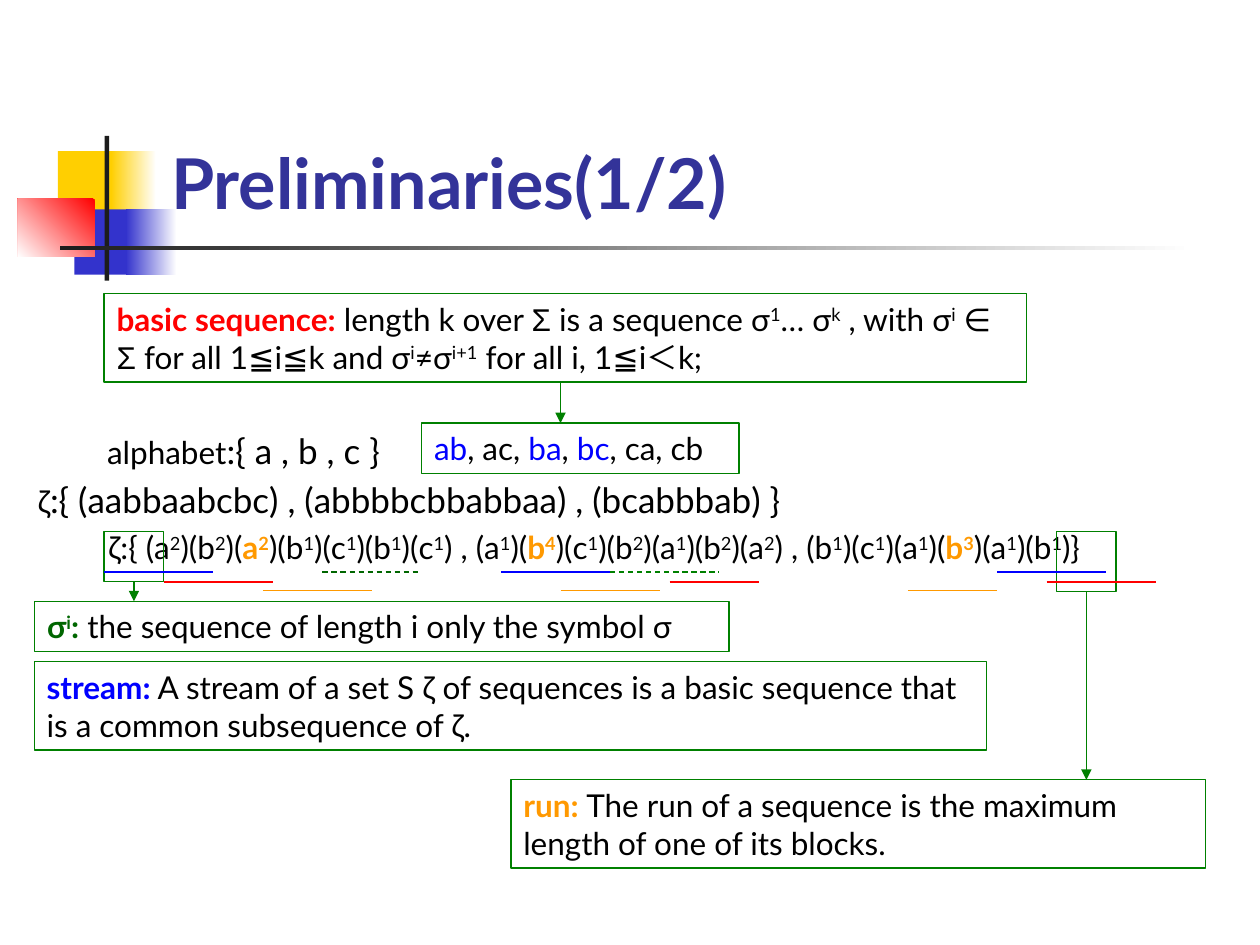
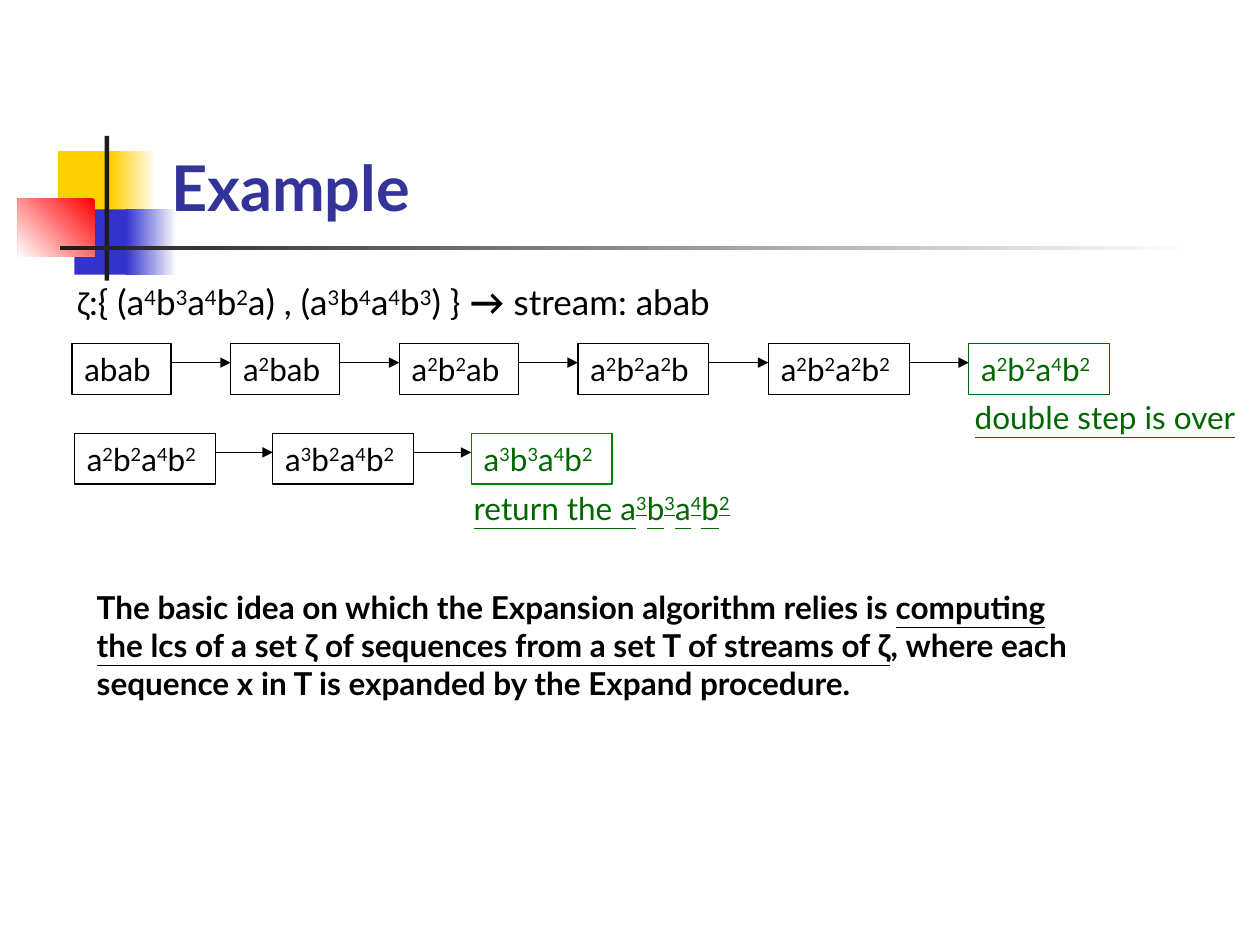
import pptx
import pptx.dml.color
import pptx.enum.dml
import pptx.enum.shapes
import pptx.enum.text
import pptx.oxml.ns
import pptx.util
from lxml import etree
from pptx.util import Cm

FONT = "Lato"
BLACK, NAVY, WHITE = "000000", "333399", "FFFFFF"
GREEN, DARK_GREEN = "008000", "006600"
BLUE, RED, ORANGE = "0000FF", "FF0000", "FF9900"
LINE_WIDTH = 0.75

# Boxes are (left, top, width, height) in centimetres.
# In texts, | switches superscript on and off; a (text, format) pair changes the run format.
TITLE_BOX = (3.2, 0.58, 21.64, 4.06)
# box, start colour, end colour (None for a solid fill), gradient angle
DECORATIONS = [
    ((1.17, 3.05, 1.22, 1.32), "FFCF01", None, 0),
    ((2.24, 3.05, 0.91, 1.32), WHITE, "FFCF01", 180),
    ((1.5, 4.22, 1.17, 1.32), "3333CC", None, 0),
    ((2.54, 4.22, 1.02, 1.32), WHITE, "3333CC", 180),
    ((0.36, 4.01, 1.55, 1.17), RED, WHITE, 225),
    ((2.11, 2.74, 0.09, 2.92), "1C1C1C", None, 0),
    ((1.22, 4.95, 22.86, 0.09), WHITE, "1C1C1C", 180),
]


def heading(text, color):
    return text, dict(color=color, bold=True)


SIGMA = ("Σ", dict(font="Arial"))
SMALL_ZETA = ("ζ", dict(size=18))

SEQUENCE_TEXTS = [
    ((0.51, 9.53, 18.6, 1.12),
     [SMALL_ZETA, ":{ (aabbaabcbc) , (abbbbcbbabbaa) , (bcabbbab) }"], 20),
    ((1.93, 10.52, 21.75, 1.02),
     ["ζ:{ (a|2|)(b|2|)(", heading("a|2|", ORANGE),
      ")(b|1|)(c|1|)(b|1|)(c|1|) , (a|1|)(", heading("b|4|", ORANGE),
      ")(c|1|)(b|2|)(a|1|)(b|2|)(a|2|) , (b|1|)(c|1|)(a|1|)(",
      heading("b|3|", ORANGE), ")(a|1|)(b|1|)}"], 18),
    ((1.91, 8.53, 18.6, 1.12),
     [("alphabet", dict(size=18)), ":{ a , b , c }"], 20),
]
DEFINITIONS = [
    ((2.1, 5.92, 18.6, 1.78),
     [heading("basic sequence:", RED), " length k over ", SIGMA,
      " is a sequence σ|1|… σ|k| , with σ|i| ∈ ", SIGMA,
      " for all 1≦i≦k and σ|i|≠σ|i+1| for all i, 1≦i＜k;"]),
    ((8.5, 8.53, 6.4, 1.02),
     [("ab", dict(color=BLUE)), ", ac, ", ("ba", dict(color=BLUE)), ", ",
      ("bc", dict(color=BLUE)), ", ca, cb"]),
    ((0.7, 12.12, 14, 1.02),
     [heading("σ|i|:", DARK_GREEN), " the sequence of length i only the symbol σ"]),
    ((0.69, 13.34, 19.2, 1.78),
     [heading("stream:", BLUE),
      " A stream of a set S ζ of sequences is a basic sequence that "
      "is a common subsequence of ζ."]),
    ((10.3, 15.72, 14, 1.78),
     [heading("run: ", ORANGE),
      "The run of a sequence is the maximum length of one of its blocks."]),
]
# marker box around a block, and the top of the definition its arrow reaches
MARKERS = [((2.1, 10.72, 1.2, 1.0), 12.12), ((21.3, 10.72, 1.2, 1.2), 15.72)]
# top, colour, dashed, (start, end) of each underline
UNDERLINES = [
    (11.53, BLUE, False, [(2.1, 4.3), (10.1, 12.3), (20.1, 22.3)]),
    (11.73, RED, False, [(3.3, 5.5), (13.5, 15.3), (21.1, 23.3)]),
    (11.91, ORANGE, False, [(5.3, 7.5), (11.3, 13.3), (18.3, 20.1)]),
    (11.53, DARK_GREEN, True, [(6.5, 8.5)]),
    (11.53, GREEN, True, [(12.3, 14.5)]),
]

# left, top, gap, colour of the last frame, (text, width) of each step
STEP_HEIGHT, ARROW_DROP = 1.02, 0.38
STEP_ROWS = [
    (1.45, 6.93, 1.2, DARK_GREEN,
     [("abab", 2), ("a|2|bab", 2.2), ("a|2|b|2|ab", 2.4), ("a|2|b|2|a|2|b", 2.64),
      ("a|2|b|2|a|2|b|2|", 2.84), ("a|2|b|2|a|4|b|2|", 2.84)]),
    (1.5, 8.74, 1.16, GREEN,
     [("a|2|b|2|a|4|b|2|", 2.84), ("a|3|b|2|a|4|b|2|", 2.84),
      ("a|3|b|3|a|4|b|2|", 2.84)]),
]
STREAM_BOX = (1.3, 5.54, 18.6, 1.12)
STREAM = [SMALL_ZETA, ":{ (a|4|b|3|a|4|b|2|a) , (a|3|b|4|a|4|b|3|) } ",
          ("→", dict(bold=True)), " stream: abab"]
STEP_NOTES = [
    ((19.4, 7.9, 6, 1.78), "double step is over"),
    ((9.3, 9.73, 6, 1.78), "return the a|3|b|3|a|4|b|2|"),
]
IDEA_BOX = (1.7, 11.73, 20.6, 3.3)
IDEA = ["The basic idea on which the Expansion algorithm relies is ",
        ("computing the lcs of a set ζ of sequences from a set T of streams of ζ",
         dict(underline=True)),
        ", where each sequence x in T is expanded by the Expand procedure."]


def rgb(color):
    return pptx.dml.color.RGBColor.from_string(color)


def lengths(values):
    return [Cm(value) for value in values]


def add_rectangle(slide, box, line=None):
    shape = slide.shapes.add_shape(
        pptx.enum.shapes.MSO_SHAPE.RECTANGLE, *lengths(box))
    shape.shadow.inherit = False
    shape.fill.background()
    if line:
        shape.line.color.rgb = rgb(line)
        shape.line.width = pptx.util.Pt(LINE_WIDTH)
    else:
        shape.line.fill.background()
    return shape


def add_run(paragraph, text, superscript, size, color, bold, underline, font):
    run = paragraph.add_run()
    run.text = text
    run.font.name = font
    run.font.size = pptx.util.Pt(size)
    run.font.bold = bold
    run.font.underline = underline
    run.font.color.rgb = rgb(color)
    if superscript:
        run._r.get_or_add_rPr().set("baseline", "30000")


def add_text(slide, box, parts, frame=None, anchor="TOP", **text_format):
    """Write parts in a text box, or in a rectangle when a frame colour is given."""
    base = dict(size=18, color=BLACK, bold=False, underline=False, font=FONT)
    base.update(text_format)
    if frame:
        shape = add_rectangle(slide, box, frame)
    else:
        shape = slide.shapes.add_textbox(*lengths(box))
    text_frame = shape.text_frame
    text_frame.word_wrap = True
    text_frame.vertical_anchor = getattr(pptx.enum.text.MSO_ANCHOR, anchor)
    paragraph = text_frame.paragraphs[0]
    paragraph.alignment = pptx.enum.text.PP_ALIGN.LEFT
    for part in parts:
        text, changes = (part, {}) if isinstance(part, str) else part
        for index, piece in enumerate(text.split("|")):
            if piece:
                add_run(paragraph, piece, index % 2 == 1, **{**base, **changes})
    return shape


def add_line(slide, start, end, color, dashed=False, arrow=False):
    connector = slide.shapes.add_connector(
        pptx.enum.shapes.MSO_CONNECTOR.STRAIGHT, *lengths(start + end))
    connector.line.color.rgb = rgb(color)
    connector.line.width = pptx.util.Pt(LINE_WIDTH)
    if dashed:
        connector.line.dash_style = pptx.enum.dml.MSO_LINE.DASH
    if arrow:
        etree.SubElement(connector.line._get_or_add_ln(),
                         pptx.oxml.ns.qn("a:tailEnd"), type="triangle")
    etree.SubElement(connector._element.spPr, pptx.oxml.ns.qn("a:effectLst"))
    return connector


def add_titled_slide(presentation, title, size):
    slide = presentation.slides.add_slide(presentation.slide_layouts[6])
    for box, start_color, end_color, angle in DECORATIONS:
        fill = add_rectangle(slide, box).fill
        if end_color:
            fill.gradient()
            fill.gradient_angle = angle
            for stop, color in zip(fill.gradient_stops, (start_color, end_color)):
                stop.color.rgb = rgb(color)
        else:
            fill.solid()
            fill.fore_color.rgb = rgb(start_color)
    add_text(slide, TITLE_BOX, [title], anchor="BOTTOM",
             size=size, color=NAVY, bold=True)
    return slide


def add_preliminaries(presentation):
    slide = add_titled_slide(presentation, "Preliminaries(1/2)", 40)
    for box, parts, size in SEQUENCE_TEXTS:
        add_text(slide, box, parts, size=size)
    for box, parts in DEFINITIONS:
        add_text(slide, box, parts, frame=GREEN)
    add_line(slide, (11.3, 7.7), (11.3, 8.53), GREEN, arrow=True)
    for box, target in MARKERS:
        left, top, width, height = box
        marker = add_rectangle(slide, box, GREEN)
        center = left + width / 2
        arrow = add_line(slide, (center, top + height), (center, target),
                         GREEN, arrow=True)
        arrow.begin_connect(marker, 2)
    for top, color, dashed, spans in UNDERLINES:
        for start, end in spans:
            add_line(slide, (start, top), (end, top), color, dashed)


def add_example(presentation):
    slide = add_titled_slide(presentation, "Example", 36)
    add_text(slide, STREAM_BOX, STREAM, size=20)
    for left, top, gap, last_frame, steps in STEP_ROWS:
        arrow_top = top + ARROW_DROP
        for number, (text, width) in enumerate(steps, 1):
            last = number == len(steps)
            add_text(slide, (left, top, width, STEP_HEIGHT), [text],
                     frame=last_frame if last else BLACK,
                     color=DARK_GREEN if last else BLACK)
            right = left + width
            left = right + gap
            if not last:
                add_line(slide, (right, arrow_top), (left, arrow_top),
                         BLACK, arrow=True)
    for box, text in STEP_NOTES:
        add_text(slide, box, [text], color=DARK_GREEN, underline=True)
    add_text(slide, IDEA_BOX, IDEA, bold=True)


def main():
    presentation = pptx.Presentation()
    presentation.slide_width, presentation.slide_height = Cm(25.4), Cm(19.05)
    add_preliminaries(presentation)
    add_example(presentation)
    presentation.save("out.pptx")


if __name__ == "__main__":
    main()
